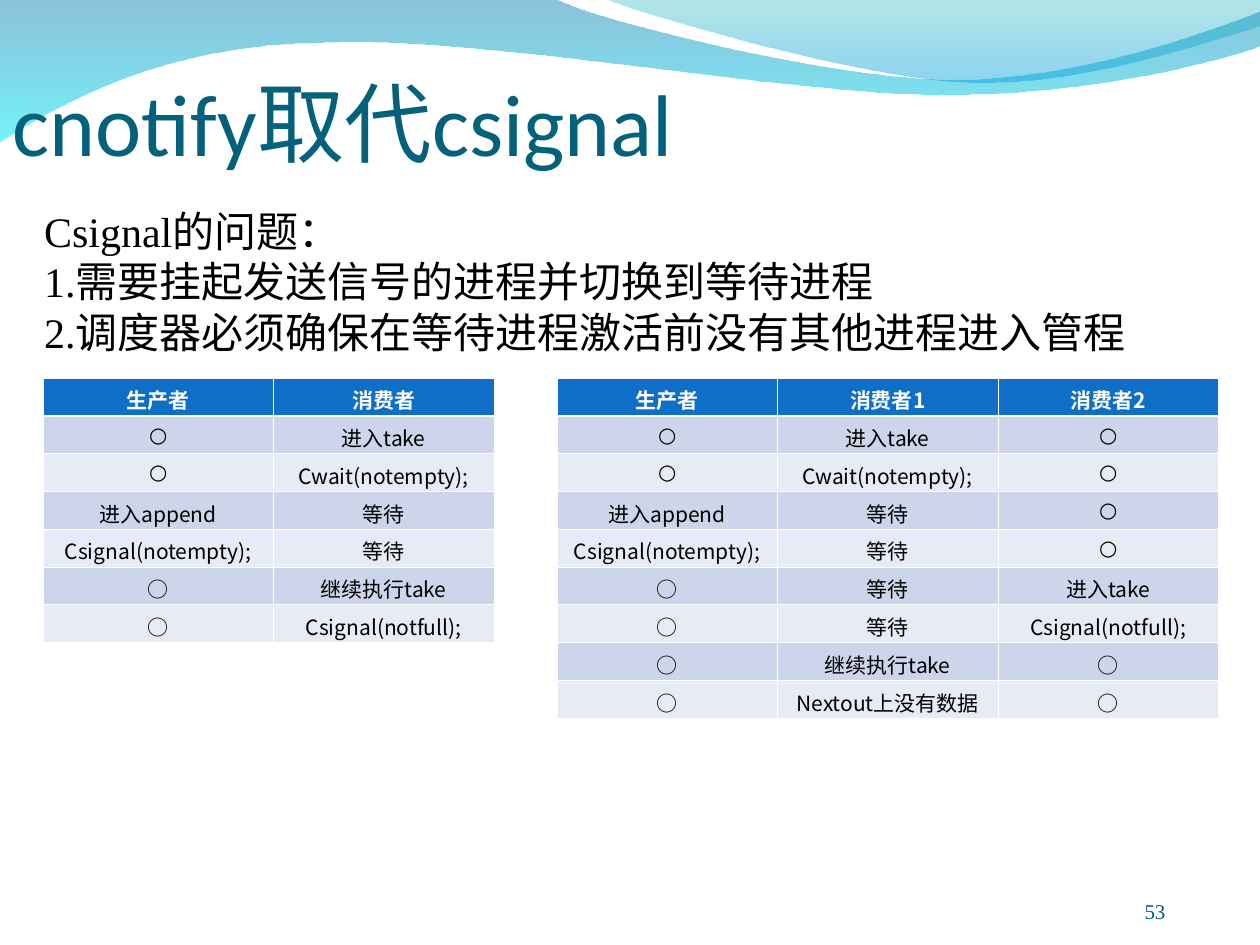
from dataclasses import dataclass

from lxml import etree
from pptx import Presentation
from pptx.dml.color import RGBColor
from pptx.enum.text import MSO_ANCHOR, MSO_AUTO_SIZE, PP_ALIGN
from pptx.oxml.ns import qn
from pptx.util import Inches, Pt

LEFT, MID, RIGHT = PP_ALIGN.LEFT, PP_ALIGN.CENTER, PP_ALIGN.RIGHT
TOP, BOTTOM = MSO_ANCHOR.TOP, MSO_ANCHOR.BOTTOM
FIXED = MSO_AUTO_SIZE.NONE


@dataclass(frozen=True)
class Theme:
    """Hold the colours, fonts and type sizes."""
    title: str = "04617B"
    number: str = "045C75"
    ink: str = "000000"
    white: str = "FFFFFF"
    head: str = "0F6FC6"
    bands: tuple = ("E7EBF5", "CCD5EA")
    wave: tuple = (("0079AF", 45), ("00EBF8", 55))
    crest: tuple = (("00ADB6", 30), ("009BE5", 45))
    sans: str = "Calibri"
    serif: str = "Times New Roman"
    mono: str = "Courier New"
    ring: str = "Vollkorn"
    han: str = "Noto Sans CJK SC"
    big: int = 50
    mid: int = 24
    small: int = 12
    thin: float = 0.45
    thick: float = 1.47


THEME = Theme()

WAVE = [
    (0, -0.01), (4.4, -0.01),
    (4.76, 0.17, 6.64, 0.63, 7.58, 0.63),
    (8.53, 0.63, 9.58, 0.26, 10, 0.09), (10.01, 0.36),
    (9.83, 0.44, 8.7, 0.76, 7.46, 0.75),
    (6.22, 0.75, 3.82, 0.28, 2.57, 0.34),
    (1.29, 0.35, 0.46, 0.83, -0.01, 1.13), (0, -0.01),
]
CREST = [
    (4.79, -0.01),
    (5.09, 0.11, 6.82, 0.62, 7.69, 0.65),
    (8.56, 0.69, 9.61, 0.32, 10, 0.21), (10, 0), (4.79, -0.01),
]
ISSUES = [
    "Csignal的问题：",
    "1.需要挂起发送信号的进程并切换到等待进程",
    "2.调度器必须确保在等待进程激活前没有其他进程进入管程",
]
PAIR = [
    ("生产者", "消费者"),
    ("○", "进入take"),
    ("○", "Cwait(notempty);"),
    ("进入append", "等待"),
    ("Csignal(notempty);", "等待"),
    ("○", "继续执行take"),
    ("○", "Csignal(notfull);"),
]
TRIO = [
    ("生产者", "消费者1", "消费者2"),
    ("○", "进入take", "○"),
    ("○", "Cwait(notempty);", "○"),
    ("进入append", "等待", "○"),
    ("Csignal(notempty);", "等待", "○"),
    ("○", "等待", "进入take"),
    ("○", "等待", "Csignal(notfull);"),
    ("○", "继续执行take", "○"),
    ("○", "Nextout上没有数据", "○"),
]


def write(frame, lines, size, face, color, east=THEME.han, align=LEFT, bold=False, pitch=None):
    """Fill a text frame with plain, formatted paragraphs."""
    frame.word_wrap = True
    for i, line in enumerate(lines):
        para = frame.paragraphs[0] if i == 0 else frame.add_paragraph()
        props = para._p.get_or_add_pPr()
        props.set("marL", "0")
        props.set("indent", "0")
        etree.SubElement(props, qn("a:buNone"))
        para.alignment = align
        para.space_before = Pt(0)
        if pitch:
            para.line_spacing = Pt(pitch)
        run = para.add_run()
        run.text = line
        font = run.font
        font.size, font.bold, font.name = Pt(size), bold, face
        font.color.rgb = RGBColor.from_string(color)
        etree.SubElement(run._r.get_or_add_rPr(), qn("a:ea"), typeface=east)


def place(shape, box, anchor=TOP):
    """Put a text shape in its box, in front of the rest."""
    shape.left, shape.top, shape.width, shape.height = map(Inches, box)
    shape.text_frame.auto_size = FIXED
    shape.text_frame.vertical_anchor = anchor
    tree = shape.element.getparent()
    tree.append(shape.element)


def bend(shape, path):
    """Merge the segments of each curve into one cubic curve."""
    lines = iter(list(shape.element.iter(qn("a:lnTo"))))
    for part in path[1:]:
        first = next(lines)
        if len(part) == 2:
            continue
        first.tag = qn("a:cubicBezTo")
        for line in (next(lines), next(lines)):
            first.append(line[0])
            line.getparent().remove(line)


def swoosh(slide, path, stops):
    """Draw one curved band with a see-through gradient."""
    points = [(round(part[i] * 100), round(part[i + 1] * 100))
              for part in path for i in range(0, len(part), 2)]
    pen = slide.shapes.build_freeform(*points[0], scale=Inches(0.01))
    pen.add_line_segments(points[1:], close=True)
    shape = pen.convert_to_shape()
    bend(shape, path)
    shape.shadow.inherit = False
    shape.line.fill.background()
    shape.fill.gradient()
    shape.fill.gradient_angle = 270
    for stop, (color, alpha) in zip(shape.fill.gradient_stops, stops):
        stop.color.rgb = RGBColor.from_string(color)
    for node, (color, alpha) in zip(shape.element.iter(qn("a:srgbClr")), stops):
        etree.SubElement(node, qn("a:alpha"), val=str(alpha * 1000))


def edge(cell, row):
    """Rule a cell in white, with a thick line under the head."""
    props = cell._tc.get_or_add_tcPr()
    for side in "LRTB":
        thick = (side, row) in (("B", 0), ("T", 1))
        width = Pt(THEME.thick if thick else THEME.thin)
        line = etree.SubElement(props, qn("a:ln" + side), w=str(width))
        fill = etree.SubElement(line, qn("a:solidFill"))
        etree.SubElement(fill, qn("a:srgbClr"), val=THEME.white)


def pick(text, row):
    """Choose the Latin and East Asian fonts for a cell."""
    if text == "○" and row < 5:
        return THEME.ring, THEME.ring
    if text == "等待" and row == 3:
        return THEME.mono, THEME.han
    return THEME.han, THEME.han


def grid(slide, rows, left, top, widths, step=0.3):
    """Build a table of process steps."""
    box = map(Inches, (left, top, sum(widths), step * len(rows)))
    table = slide.shapes.add_table(len(rows), len(widths), *box).table
    for col, width in zip(table.columns, widths):
        col.width = Inches(width)
    for r, texts in enumerate(rows):
        table.rows[r].height = Inches(step)
        for c, text in enumerate(texts):
            cell = table.cell(r, c)
            cell.margin_left = cell.margin_right = Inches(0.05)
            cell.margin_top, cell.margin_bottom = Inches(0.05), 0
            edge(cell, r)
            cell.fill.solid()
            tint = THEME.bands[r % 2] if r else THEME.head
            cell.fill.fore_color.rgb = RGBColor.from_string(tint)
            face, east = pick(text, r)
            write(cell.text_frame, [text], THEME.small, face, THEME.ink if r else THEME.white,
                  east=east, align=MID, bold=r == 0)


def number(slide, text, box):
    """Add the page number."""
    shape = slide.shapes.add_textbox(*map(Inches, box))
    frame = shape.text_frame
    frame.margin_left = frame.margin_right = frame.margin_top = frame.margin_bottom = 0
    place(shape, box, BOTTOM)
    write(frame, [text], THEME.small, THEME.serif, THEME.number, align=RIGHT)


def main():
    """Build and save the slide."""
    deck = Presentation()
    deck.slide_width, deck.slide_height = Inches(10), Inches(7.5)
    slide = deck.slides.add_slide(deck.slide_layouts[1])
    title, body = slide.placeholders
    swoosh(slide, WAVE, THEME.wave)
    swoosh(slide, CREST, THEME.crest)
    number(slide, "53", (7.17, 6.83, 2.08, 0.5))
    place(title, (0, 0.5, 10.33, 1.25))
    write(title.text_frame, ["cnotify取代csignal"], THEME.big, THEME.sans, THEME.title, pitch=60)
    place(body, (0.25, 1.58, 9.58, 1.3))
    write(body.text_frame, ISSUES, THEME.mid, THEME.serif, THEME.ink, pitch=28.8)
    grid(slide, PAIR, 0.34, 3, (1.83, 1.75))
    grid(slide, TRIO, 4.42, 3, (1.75,) * 3)
    deck.save("out.pptx")


if __name__ == "__main__":
    main()
